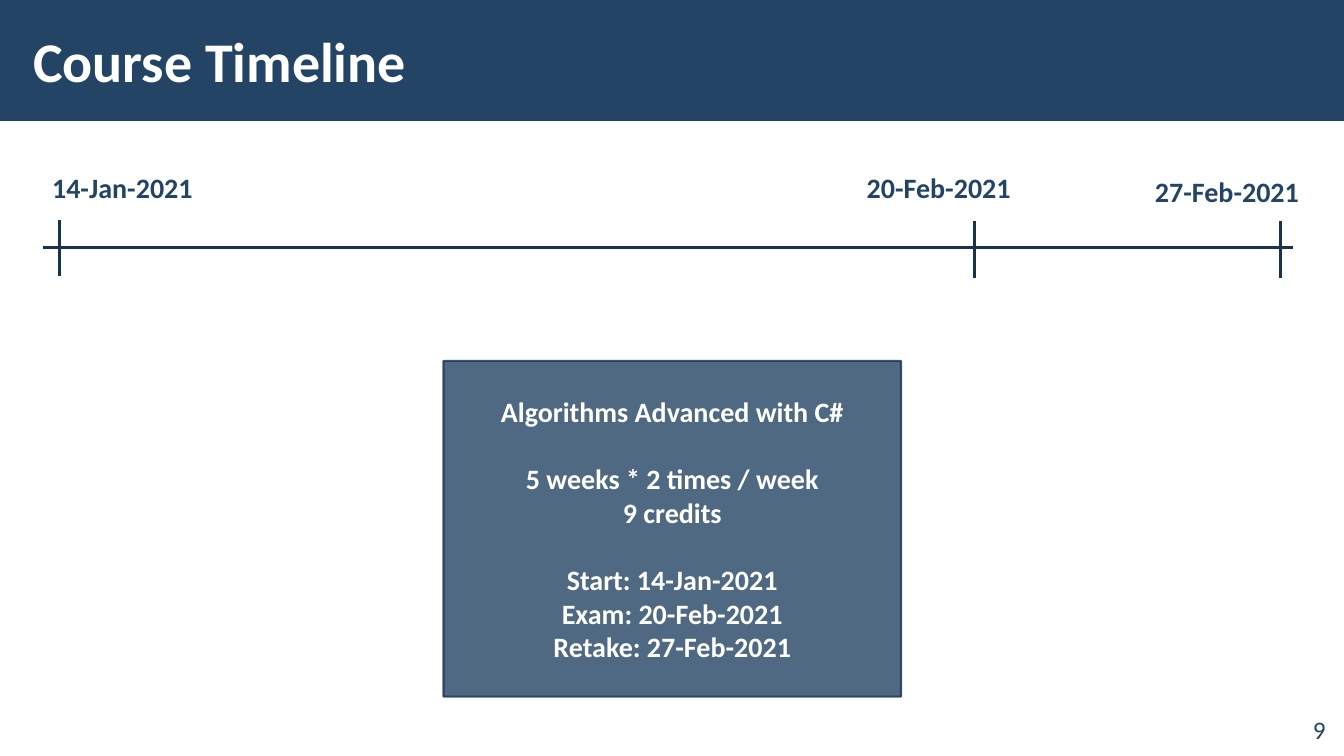
from dataclasses import dataclass

from lxml import etree
from pptx import Presentation
from pptx.dml.color import RGBColor
from pptx.enum.shapes import MSO_CONNECTOR, MSO_SHAPE
from pptx.enum.text import MSO_ANCHOR, PP_ALIGN
from pptx.oxml.ns import qn
from pptx.util import Pt

RECT = MSO_SHAPE.RECTANGLE
STRAIGHT = MSO_CONNECTOR.STRAIGHT
LEFT, CENTER, RIGHT = PP_ALIGN.LEFT, PP_ALIGN.CENTER, PP_ALIGN.RIGHT
TOP, MIDDLE, BOTTOM = MSO_ANCHOR.TOP, MSO_ANCHOR.MIDDLE, MSO_ANCHOR.BOTTOM
COLORS = {"navy": "234465", "line": "1A334C", "white": "FFFFFF"}
FONT = "Calibri"
AXIS_Y = 177.1
PANEL_OPACITY = 80


@dataclass(frozen=True)
class Box:
    x: float
    y: float
    w: float
    h: float


@dataclass(frozen=True)
class Milestone:
    date: str
    tick_x: float
    tick_top: float
    tick_h: float
    label: Box
    wrap: bool = False


@dataclass(frozen=True)
class Line:
    text: str
    gap: float = 0


MILESTONES = [
    Milestone("14-Jan-2021", 42.5, 157, 40.3, Box(30.2, 118.1, 117, 31.5)),
    Milestone("20-Feb-2021", 696.2, 158, 40.7, Box(612, 118.1, 122.4, 31.5), True),
    Milestone("27-Feb-2021", 914.4, 158, 40.7, Box(817.9, 121, 118.1, 31.5)),
]
COURSE_LINES = [
    Line("Algorithms Advanced with C#"),
    Line("5 weeks * 2 times / week", 24),
    Line("9 credits"),
    Line("Start: 14-Jan-2021", 24),
    Line("Exam: 20-Feb-2021"),
    Line("Retake: 27-Feb-2021"),
]


def rgb(name: str) -> RGBColor:
    return RGBColor.from_string(COLORS[name])


def write(sp, lines: list[Line], *, size=20, color="navy", bold=True, align=LEFT,
          anchor=TOP, wrap=True, inset_x=7.2, inset_y=3.6) -> None:
    tf = sp.text_frame
    tf.word_wrap = wrap
    tf.vertical_anchor = anchor
    tf.margin_left = tf.margin_right = Pt(inset_x)
    tf.margin_top = tf.margin_bottom = Pt(inset_y)
    for i, line in enumerate(lines):
        p = tf.add_paragraph() if i else tf.paragraphs[0]
        p.alignment = align
        if line.gap:
            p.space_before = Pt(line.gap)
        r = p.add_run()
        r.text = line.text
        r.font.name, r.font.size, r.font.bold = FONT, Pt(size), bold
        r.font.color.rgb = rgb(color)


def add_text(s, box: Box, text: str, **fmt) -> None:
    sp = s.shapes.add_textbox(Pt(box.x), Pt(box.y), Pt(box.w), Pt(box.h))
    write(sp, [Line(text)], **fmt)


def add_rect(s, box: Box):
    sp = s.shapes.add_shape(RECT, Pt(box.x), Pt(box.y), Pt(box.w), Pt(box.h))
    sp.shadow.inherit = False
    sp.fill.solid()
    sp.fill.fore_color.rgb = rgb("navy")
    sp.line.fill.background()
    return sp


def add_line(s, x1: float, y1: float, x2: float, y2: float) -> None:
    sp = s.shapes.add_connector(STRAIGHT, Pt(x1), Pt(y1), Pt(x2), Pt(y2))
    sp.line.color.rgb = rgb("line")
    sp.line.width = Pt(2.25)
    etree.SubElement(sp._element.spPr, qn("a:effectLst"))


def add_panel(s, box: Box, lines: list[Line]) -> None:
    sp = add_rect(s, box)
    sp.line.color.rgb = rgb("line")
    sp.line.width = Pt(1.5)
    for color in sp._element.spPr.iter(qn("a:srgbClr")):
        etree.SubElement(color, qn("a:alpha"), val=str(PANEL_OPACITY * 1000))
    write(sp, lines, color="white", align=CENTER, anchor=MIDDLE)


def main() -> None:
    prs = Presentation()
    prs.slide_width, prs.slide_height = Pt(960), Pt(540)
    s = prs.slides.add_slide(prs.slide_layouts[6])

    add_rect(s, Box(0, 0, 960, 86.4))
    add_text(s, Box(914.4, 512.6, 39.6, 23), "9", size=18, bold=False,
             align=RIGHT, anchor=BOTTOM)
    add_text(s, Box(15.1, 7.9, 764.6, 69.8), "Course Timeline", size=40, color="white",
             anchor=MIDDLE, inset_x=8.5, inset_y=2.8)

    add_line(s, 31, AXIS_Y, 923.8, AXIS_Y)
    for m in MILESTONES:
        add_line(s, m.tick_x, m.tick_top, m.tick_x, m.tick_top + m.tick_h)
        add_text(s, m.label, m.date, wrap=m.wrap)

    add_panel(s, Box(316.8, 257.8, 326.9, 239.8), COURSE_LINES)
    prs.save("out.pptx")


if __name__ == "__main__":
    main()
